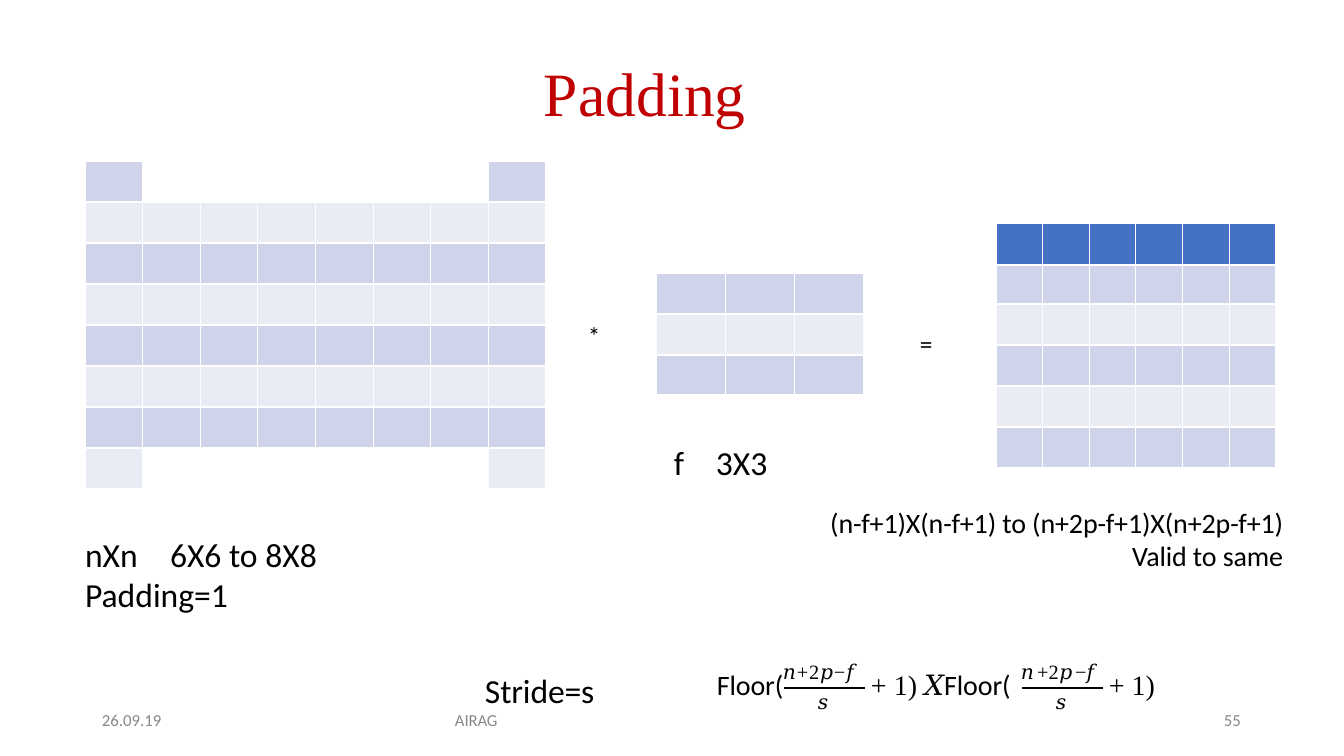
"""Build the Padding slide: three grids, their captions and the stride formula."""
from lxml.etree import SubElement
from pptx import Presentation
from pptx.dml.color import RGBColor
from pptx.enum.shapes import MSO_CONNECTOR
from pptx.enum.text import PP_ALIGN
from pptx.oxml.ns import qn
from pptx.util import Pt

PX = 914400 / 100.8
COLORS = {"title": "C00000", "text": "000000", "footer": "888888", "head": "4471C4",
          "dark": "CFD4EA", "light": "E9EBF5", "border": "FFFFFF"}
SANS, SERIF = "Calibri", "Times New Roman"

# left, top, width, columns, row heights, row fills, merged (row, first column, last column)
GRIDS = [
    (85, 161, 461, 8, [41] * 8, ["dark", "light"] * 4, [(0, 1, 6), (7, 1, 6)]),
    (656, 273, 208, 3, [41, 41, 40], ["dark", "light", "dark"], []),
    (996, 223, 280, 6, [42, 39, 41, 41, 41, 41],
     ["head", "dark", "light", "dark", "light", "dark"], []),
]

# left, top, width, height, size, font, colour, runs of (text, letter spacing)
LABELS = [
    (543, 54, 206, 77, 44, SERIF, "title", [("Padding", 0)]),
    (587, 319, 15, 33, 18, SANS, "text", [("*", 0)]),
    (919, 327, 15, 33, 18, SANS, "text", [("=", 0)]),
    (484, 669, 113, 43, 24, SANS, "text", [("Stride=s", -0.1)]),
    (716, 666, 70, 36, 20, SANS, "text", [("Floor(", -0.1)]),
    (1108, 666, 57, 36, 20, SERIF, "text", [("+ 1)", 0)]),
    (782, 658, 84, 27, 14.5, SERIF, "text", [("𝑛+2𝑝−𝑓", 0.6)]),
    (1020, 658, 114, 27, 14.5, SERIF, "text",
     [("𝑛", 2.2), ("+", -0.2), ("2", 0.4), ("𝑝", 2.1), ("−", -0.2), ("𝑓", 1.4)]),
    (817, 688, 13, 27, 14.5, SERIF, "text", [("𝑠", 0.8)]),
    (1055, 688, 13, 27, 14.5, SERIF, "text", [("𝑠", 0.8)]),
    (454, 713, 433, 19, 12, SANS, "footer", [("AIRAG", -0.1)]),
    (101, 713, 76, 19, 12, SANS, "footer", [("26.09.19", 0)]),
    (1223, 713, 24, 19, 12, SANS, "footer", [("55", 0)]),
]
TABBED = [
    (84, 533, 383, 43, 85, "nXn\t6X6 to 8X8 Padding=1"),
    (673, 441, 95, 43, 42, "f\t3X3"),
]
OUTPUT_SIZE = ["(n-f+1)X(n-f+1) to (n+2p-f+1)X(n+2p-f+1)", "Valid to same"]
FRACTION_BARS = [(784, 688), (1022, 688)]
BAR_WIDTH = 81


def px(length):
    return round(length * PX)


def color(name):
    return RGBColor.from_string(COLORS[name])


def style(run, size, font, color_name, spacing=0):
    run.font.size = Pt(size)
    run.font.name = font
    run.font.color.rgb = color(color_name)
    run.font._element.set("spc", str(round(spacing * 100)))


def add_box(slide, left, top, width, height):
    box = slide.shapes.add_textbox(px(left), px(top), px(width), px(height))
    frame = box.text_frame
    frame.word_wrap = True
    frame.margin_left = frame.margin_top = px(1)
    frame.margin_right = frame.margin_bottom = 0
    return frame


def add_borders(cell):
    properties = cell._tc.get_or_add_tcPr()
    for index, side in enumerate(("lnL", "lnR", "lnT", "lnB")):
        line = properties.makeelement(qn(f"a:{side}"), {"w": str(Pt(1))})
        fill = SubElement(line, qn("a:solidFill"))
        SubElement(fill, qn("a:srgbClr"), val=COLORS["border"])
        properties.insert(index, line)


def add_grid(slide, left, top, width, columns, heights, fills, merges):
    frame = slide.shapes.add_table(len(heights), columns, px(left), px(top),
                                   px(width), px(sum(heights)))
    table = frame.table
    table.first_row = table.horz_banding = False
    for column in table.columns:
        column.width = px(width / columns)
    for row, height, fill in zip(table.rows, heights, fills):
        row.height = px(height)
        for cell in row.cells:
            cell.margin_top = cell.margin_bottom = 0
            cell.fill.solid()
            cell.fill.fore_color.rgb = color(fill)
            add_borders(cell)
    for row, first, last in merges:
        table.cell(row, first).merge(table.cell(row, last))
        for column in range(first, last + 1):
            table.cell(row, column).fill.background()


def add_label(slide, left, top, width, height, size, font, color_name, runs):
    frame = add_box(slide, left, top, width, height)
    paragraph = frame.paragraphs[0]
    if color_name == "footer":
        frame.margin_top = 0
        paragraph.line_spacing = Pt(12.4)
    for text, spacing in runs:
        run = paragraph.add_run()
        run.text = text
        style(run, size, font, color_name, spacing)


def add_tabbed(slide, left, top, width, height, tab, text):
    paragraph = add_box(slide, left, top, width, height).paragraphs[0]
    paragraph.text = text
    tabs = SubElement(paragraph._p.get_or_add_pPr(), qn("a:tabLst"))
    SubElement(tabs, qn("a:tab"), pos=str(px(tab)), algn="l")
    for run in paragraph.runs:
        style(run, 24, SANS, "text")


def add_output_size(slide):
    frame = add_box(slide, 819, 504, 464, 71)
    frame.text = "\n".join(OUTPUT_SIZE)
    for paragraph in frame.paragraphs:
        paragraph.alignment = PP_ALIGN.RIGHT
        style(paragraph.runs[0], 20, SANS, "text", -0.1)


def add_middle_term(slide):
    paragraph = add_box(slide, 870, 666, 148, 36).paragraphs[0]
    for text, font in (("+ 1) ", SERIF), ("𝑋", SERIF), ("Floor(", SANS)):
        run = paragraph.add_run()
        run.text = text
        style(run, 20, font, "text", 0 if text == "+ 1) " else -0.1)


def add_bar(slide, left, top):
    bar = slide.shapes.add_connector(MSO_CONNECTOR.STRAIGHT, px(left), px(top),
                                     px(left + BAR_WIDTH), px(top))
    bar.line.color.rgb = color("text")
    bar.line.width = Pt(1.32)
    SubElement(bar._element.spPr, qn("a:effectLst"))


def main():
    presentation = Presentation()
    presentation.slide_width, presentation.slide_height = px(1344), px(756)
    slide = presentation.slides.add_slide(presentation.slide_layouts[6])
    for grid in GRIDS:
        add_grid(slide, *grid)
    for label in LABELS:
        add_label(slide, *label)
    for caption in TABBED:
        add_tabbed(slide, *caption)
    add_output_size(slide)
    add_middle_term(slide)
    for bar in FRACTION_BARS:
        add_bar(slide, *bar)
    presentation.save("out.pptx")


if __name__ == "__main__":
    main()
